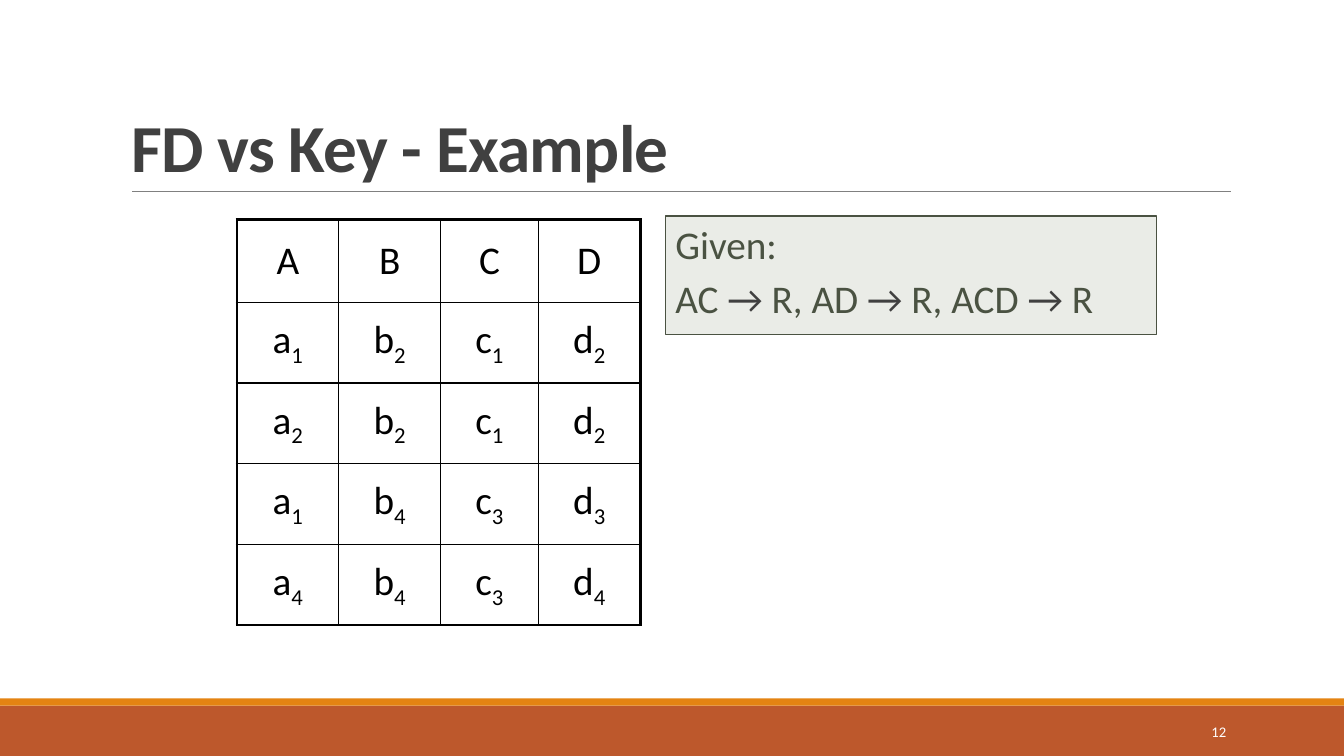
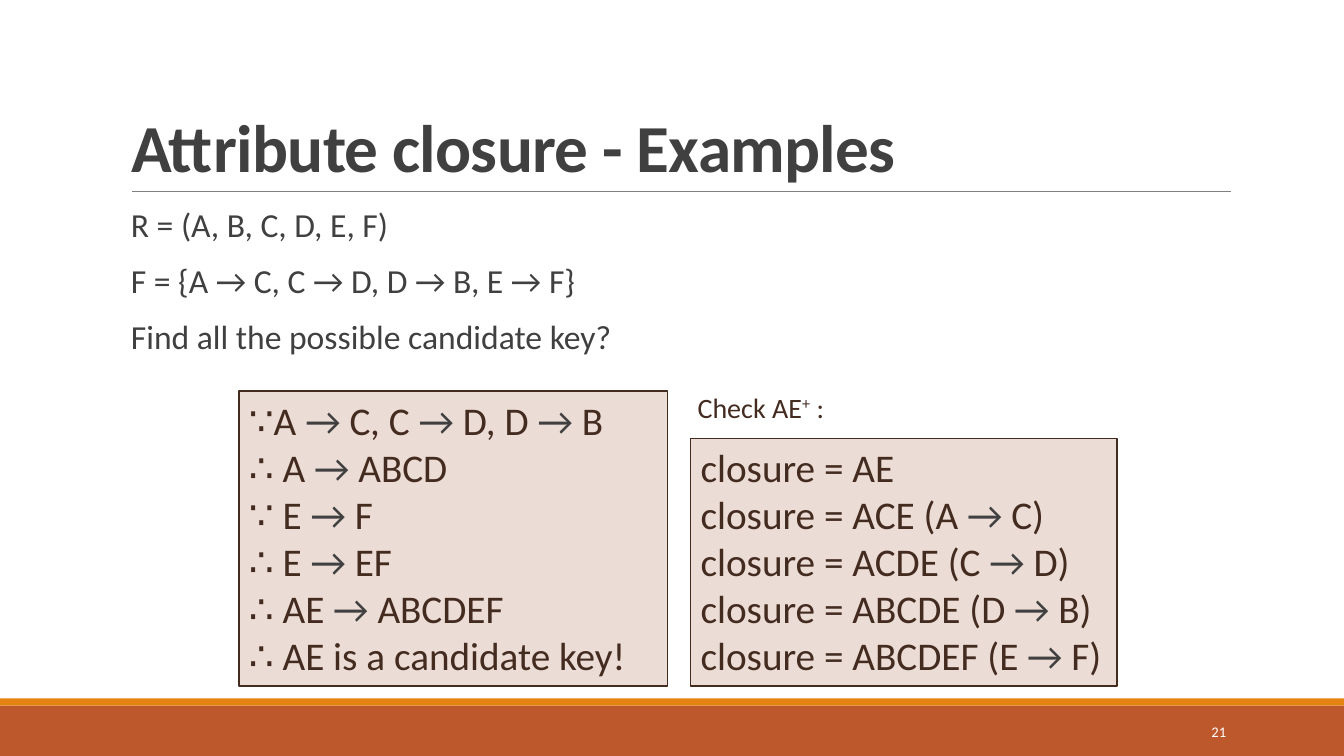
from dataclasses import dataclass
from itertools import groupby

from lxml.etree import SubElement
from pptx import Presentation
from pptx.dml.color import RGBColor
from pptx.enum.shapes import MSO_CONNECTOR, MSO_SHAPE
from pptx.enum.text import MSO_ANCHOR, MSO_AUTO_SIZE, PP_ALIGN
from pptx.oxml.ns import qn
from pptx.util import Inches, Pt


@dataclass(frozen=True)
class Theme:
    font: str = "Calibri"
    ink: str = "404040"
    black: str = "000000"
    white: str = "FFFFFF"
    rule: str = "808080"
    band: str = "BD582C"
    stripe: str = "E48312"
    green: str = "4A5242"
    pale_green: str = "EAECE7"
    brown: str = "432B20"
    pale_brown: str = "EBDCD5"
    title_size: float = 48
    large_size: float = 28
    body_size: float = 24
    label_size: float = 20
    number_size: float = 10.5
    subscript: int = -25
    superscript: int = 30
    outer_border: float = 2.25
    inner_border: float = 1


THEME = Theme()
TITLE_ONLY = 5
ARROW = "→"


def rgb(value):
    return RGBColor.from_string(value)


def inches(*lengths):
    return [Inches(length) for length in lengths]


def apply(target, **formats):
    for name, value in formats.items():
        setattr(target, name, value)


def with_arrows(line):
    return [("".join(letters), {"color": THEME.ink} if is_arrow else {})
            for is_arrow, letters in groupby(line, lambda letter: letter == ARROW)]


def add_run(paragraph, text, size, color, bold=False, baseline=0, spacing=0):
    run = paragraph.add_run()
    run.text = text
    apply(run.font, name=THEME.font, size=Pt(size), bold=bold)
    run.font.color.rgb = rgb(color)
    properties = run.font._element
    for name, value in {"baseline": baseline * 1000, "spc": spacing * 100}.items():
        if value:
            properties.set(name, str(int(value)))


def write(frame, lines, size, color, gap=0, align=PP_ALIGN.LEFT, **formats):
    for index, pieces in enumerate(lines):
        paragraph = frame.add_paragraph() if index else frame.paragraphs[0]
        apply(paragraph, alignment=align, space_before=Pt(gap if index else 0), **formats)
        for text, style in pieces:
            add_run(paragraph, text, **{"size": size, "color": color, **style})


def add_box(slide, place, fill, outline=None):
    box = slide.shapes.add_shape(MSO_SHAPE.RECTANGLE, *inches(*place))
    box.shadow.inherit = False
    box.fill.solid()
    box.fill.fore_color.rgb = rgb(fill)
    if outline:
        box.line.color.rgb = rgb(outline)
        box.line.width = Pt(1.25)
    else:
        box.line.fill.background()
    return box


def add_panel(slide, place, lines, fill, color, gap=0, wrap=True):
    frame = add_box(slide, place, fill, color).text_frame
    apply(frame, word_wrap=wrap, vertical_anchor=MSO_ANCHOR.TOP)
    write(frame, map(with_arrows, lines), THEME.large_size, color, gap)


def add_text(slide, place, lines, size, color, wrap=True, anchor=MSO_ANCHOR.TOP, **formats):
    frame = slide.shapes.add_textbox(*inches(*place)).text_frame
    apply(frame, word_wrap=wrap, vertical_anchor=anchor)
    write(frame, lines, size, color, **formats)


def add_rule(slide, left, right, top):
    rule = slide.shapes.add_connector(MSO_CONNECTOR.STRAIGHT, *inches(left, top, right, top))
    rule.line.color.rgb = rgb(THEME.rule)
    rule.line.width = Pt(0.5)
    SubElement(rule._element.spPr, qn("a:effectLst"))


def set_title(slide, text):
    title = slide.shapes.title
    left, top, width, height = inches(1.2, 0.31, 11, 1.59)
    apply(title, left=left, top=top, width=width, height=height)
    apply(title.text_frame, word_wrap=True, vertical_anchor=MSO_ANCHOR.BOTTOM,
          auto_size=MSO_AUTO_SIZE.NONE)
    write(title.text_frame, [[(text, {"bold": True, "spacing": -0.5})]],
          THEME.title_size, THEME.ink, line_spacing=0.85)


def add_slide(deck, title, number):
    slide = deck.slides.add_slide(deck.slide_layouts[TITLE_ONLY])
    add_box(slide, (0, 7, 13.33, 0.5), THEME.band)
    add_box(slide, (0, 6.93, 13.33, 0.07), THEME.stripe)
    add_rule(slide, 1.31, 12.21, 1.9)
    set_title(slide, title)
    add_text(slide, (10.83, 7.06, 1.43, 0.4), [[(number, {})]], THEME.number_size,
             THEME.white, anchor=MSO_ANCHOR.MIDDLE, align=PP_ALIGN.RIGHT)
    return slide


def set_borders(cell, outer_edges):
    properties = cell._tc.get_or_add_tcPr()
    for edge, is_outer in outer_edges.items():
        width = THEME.outer_border if is_outer else THEME.inner_border
        border = SubElement(properties, qn(f"a:ln{edge}"), w=str(Pt(width)))
        paint = SubElement(border, qn("a:solidFill"))
        SubElement(paint, qn("a:srgbClr"), val=THEME.black)


def add_relation(slide, place, widths, heights, rows):
    table = slide.shapes.add_table(len(rows), len(widths), *inches(*place)).table
    apply(table, first_row=False, horz_banding=False)
    for column, width in zip(table.columns, widths):
        column.width = Inches(width)
    for row, height in zip(table.rows, heights):
        row.height = Inches(height)
    last_row, last_column = len(rows) - 1, len(widths) - 1
    for i, values in enumerate(rows):
        for j, value in enumerate(values):
            cell = table.cell(i, j)
            cell.vertical_anchor = MSO_ANCHOR.MIDDLE
            set_borders(cell, {"L": j == 0, "R": j == last_column,
                               "T": i == 0, "B": i == last_row})
            cell.fill.background()
            pieces = [(value[0], {})]
            if value[1:]:
                pieces.append((value[1:], {"baseline": THEME.subscript}))
            write(cell.text_frame, [pieces], THEME.large_size, THEME.black,
                  align=PP_ALIGN.CENTER)


def build_key_example(deck):
    slide = add_slide(deck, "FD vs Key - Example", "12")
    rows = ["A B C D", "a1 b2 c1 d2", "a2 b2 c1 d2", "a1 b4 c3 d3", "a4 b4 c3 d4"]
    add_relation(slide, (2.35, 2.18, 4, 4.02), [1.01, 1.01, 0.97, 1.01],
                 [0.82] + [0.8] * 4, [row.split() for row in rows])
    add_panel(slide, (6.6, 2.14, 4.87, 1.18), ["Given:", "AC → R, AD → R, ACD → R"],
              THEME.pale_green, THEME.green, gap=5)


def build_closure_examples(deck):
    slide = add_slide(deck, "Attribute closure - Examples", "21")
    problem = ["R = (A, B, C, D, E, F)", "F = {A → C, C → D, D → B, E → F}",
               "Find all the possible candidate key?"]
    add_text(slide, (1.2, 2.02, 11, 1.8), [[(line, {})] for line in problem],
             THEME.body_size, THEME.ink, gap=12, line_spacing=0.9, space_after=Pt(2))
    reasoning = ["∵A → C, C → D, D → B", "∴ A → ABCD", "∵ E → F", "∴ E → EF",
                 "∴ AE → ABCDEF", "∴ AE is a candidate key!"]
    add_panel(slide, (2.37, 3.88, 4.25, 2.93), reasoning, THEME.pale_brown, THEME.brown)
    steps = ["AE", "ACE (A → C)", "ACDE (C → D)", "ABCDE (D → B)", "ABCDEF (E → F)"]
    add_panel(slide, (6.85, 4.35, 4.23, 2.46), [f"closure = {step}" for step in steps],
              THEME.pale_brown, THEME.brown, wrap=False)
    check = [("Check AE", {}), ("+", {"baseline": THEME.superscript}), (" :", {})]
    add_text(slide, (6.82, 3.82, 1.48, 0.44), [check], THEME.label_size, THEME.brown,
             wrap=False)


def main():
    deck = Presentation()
    apply(deck, slide_width=Inches(13.33), slide_height=Inches(7.5))
    build_key_example(deck)
    build_closure_examples(deck)
    deck.save("out.pptx")


if __name__ == "__main__":
    main()
